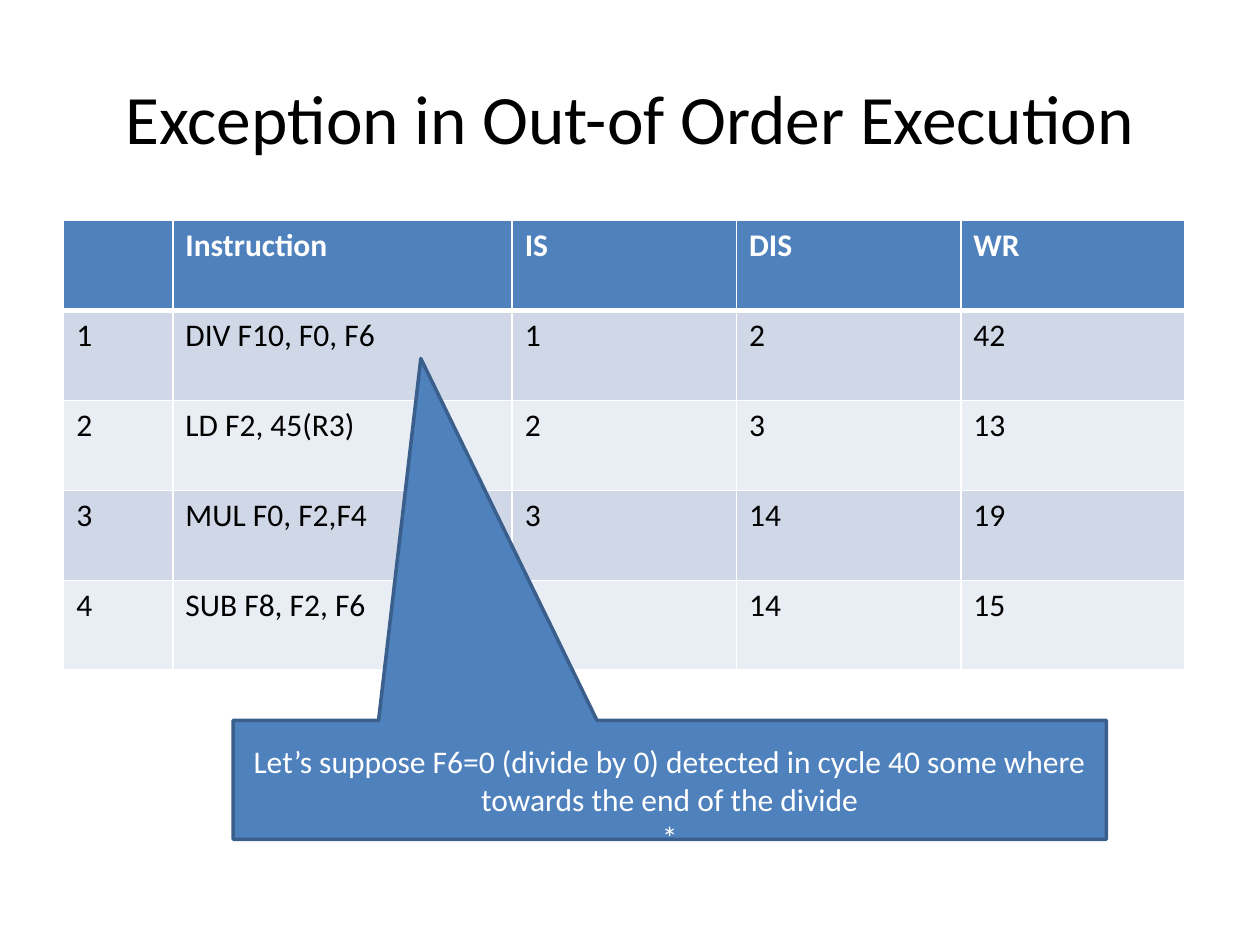
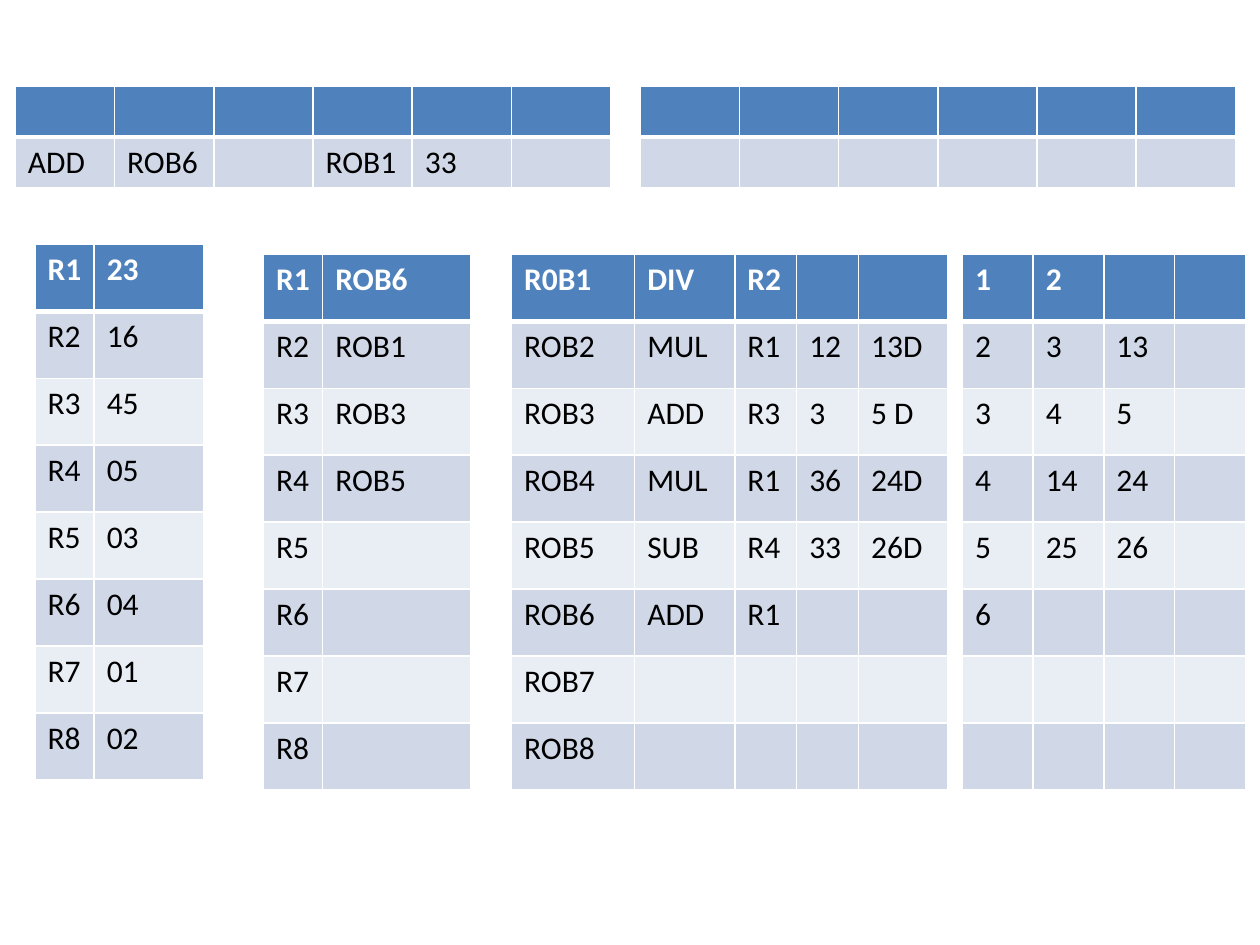
from lxml.etree import SubElement
from pptx import Presentation
from pptx.dml.color import RGBColor
from pptx.enum.shapes import MSO_SHAPE as SHAPE
from pptx.enum.text import MSO_ANCHOR as ANCHOR, PP_ALIGN as ALIGN
from pptx.oxml.ns import qn
from pptx.util import Pt

BLUE, DARK_BLUE = "4F81BD", "3A5F8C"
BANDS = ("E9EDF4", "D0D8E8")
WHITE, BLACK = "FFFFFF", "000000"


def rgb(color):
    """Turn a hex string into a colour."""
    return RGBColor.from_string(color)


class Deck:
    """Hold the shared style and the slide being built."""

    font, size = "Calibri", 18

    def __init__(self, width, height):
        """Start an empty presentation of the given size."""
        self.prs = Presentation()
        self.prs.slide_width, self.prs.slide_height = Pt(width), Pt(height)
        self.s = None

    def slide(self):
        """Add a blank slide and make it current."""
        self.s = self.prs.slides.add_slide(self.prs.slide_layouts[6])

    def style(self, tf, color, size=size, bold=False, align=ALIGN.LEFT):
        """Format every paragraph of a text frame."""
        for p in tf.paragraphs:
            p.alignment = align
            for font in [p.font] + [r.font for r in p.runs]:
                font.name, font.size, font.bold = self.font, Pt(size), bold
                font.color.rgb = rgb(color)

    def title(self, text):
        """Add the centred slide title."""
        sp = self.s.shapes.add_textbox(Pt(36), Pt(21.6), Pt(648), Pt(90))
        tf = sp.text_frame
        tf.word_wrap, tf.vertical_anchor = True, ANCHOR.MIDDLE
        tf.text = text
        self.style(tf, BLACK, 39.6, align=ALIGN.CENTER)

    def callout(self, left, top, width, height, tip, text, drop):
        """Add a callout with its tip at a relative offset and its text lowered."""
        sp = self.s.shapes.add_shape(SHAPE.RECTANGULAR_CALLOUT,
                                     Pt(left), Pt(top), Pt(width), Pt(height))
        sp.adjustments[0], sp.adjustments[1] = tip
        sp.shadow.inherit = False
        sp.fill.solid()
        sp.fill.fore_color.rgb = rgb(BLUE)
        sp.line.color.rgb, sp.line.width = rgb(DARK_BLUE), Pt(2)
        tf = sp.text_frame
        tf.word_wrap, tf.vertical_anchor = True, ANCHOR.MIDDLE
        tf.margin_top = Pt(drop)
        tf.text = text
        self.style(tf, WHITE, align=ALIGN.CENTER)

    def borders(self, cell, top, bottom):
        """Draw white cell borders, with the top and bottom widths given."""
        tcPr = cell._tc.get_or_add_tcPr()
        for side, width in zip("LRTB", (1, 1, top, bottom)):
            ln = SubElement(tcPr, qn(f"a:ln{side}"), w=str(Pt(width)))
            fill = SubElement(ln, qn("a:solidFill"))
            SubElement(fill, qn("a:srgbClr"), val=WHITE)

    def table(self, left, top, widths, row_height, rows):
        """Add a table with a blue header row and banded body rows."""
        sp = self.s.shapes.add_table(len(rows), len(widths), Pt(left), Pt(top),
                                     Pt(sum(widths)), Pt(row_height * len(rows)))
        table = sp.table
        for column, width in zip(table.columns, widths):
            column.width = Pt(width)
        for i, row in enumerate(rows):
            table.rows[i].height = Pt(row_height)
            header = i == 0
            for j in range(len(widths)):
                cell = table.cell(i, j)
                self.borders(cell, 3 if i == 1 else 1, 3 if header else 1)
                cell.fill.solid()
                cell.fill.fore_color.rgb = rgb(BLUE if header else BANDS[i % 2])
                if j < len(row):
                    cell.text_frame.text = row[j]
                self.style(cell.text_frame, WHITE if header else BLACK, bold=header)


def exception_slide(deck):
    """Build the slide on the divide exception."""
    deck.slide()
    deck.title("Exception in Out-of Order Execution")
    deck.table(36.4, 126, [62.4, 193.9] + [128.2] * 3, 51.4, [
        ["", "Instruction", "IS", "DIS", "WR"],
        ["1", "DIV F10, F0, F6", "1", "2", "42"],
        ["2", "LD F2, 45(R3)", "2", "3", "13"],
        ["3", "MUL F0, F2,F4", "3", "14", "19"],
        ["4", "SUB F8, F2, F6", "4", "14", "15"],
    ])
    deck.callout(133.2, 411.6, 499, 68, (-0.285, -3.54),
                 "Let’s suppose F6=0 (divide by 0) detected in cycle 40 some where "
                 "towards the end of the divide\n*", drop=25.6)


def reorder_buffer_slide(deck):
    """Build the slide with stations, registers and reorder buffer."""
    deck.slide()
    registers = [f"R{n}" for n in range(1, 9)]
    values = ["23", "16", "45", "05", "03", "04", "01", "02"]
    aliases = ["ROB6", "ROB1", "ROB3", "ROB5"] + [""] * 4
    buffer = [
        ["R0B1", "DIV", "R2"],
        ["ROB2", "MUL", "R1", "12", "13D"],
        ["ROB3", "ADD", "R3", "3", "5 D"],
        ["ROB4", "MUL", "R1", "36", "24D"],
        ["ROB5", "SUB", "R4", "33", "26D"],
        ["ROB6", "ADD", "R1"],
        ["ROB7"],
        ["ROB8"],
    ]
    cycles = [["1", "2"], ["2", "3", "13"], ["3", "4", "5"], ["4", "14", "24"],
              ["5", "25", "26"], ["6"], [], []]
    adder = [[], ["ADD", "ROB6", "", "ROB1", "33"]]
    multiplier = [[], []]

    for left, station in ((8.8, adder), (365.8, multiplier)):
        deck.table(left, 49, [56.7] * 6, 29.2, station)
    for left, top, widths, rows in (
        (20, 139.7, [33.8, 62.8], list(zip(registers, values))),
        (150.6, 145.4, [33.8, 84.6], list(zip(registers, aliases))),
        (292.3, 145.4, [70.4, 57.2, 35.4, 35.4, 51], buffer),
        (550, 145.4, [40.4] * 4, cycles),
    ):
        deck.table(left, top, widths, 38.25, rows)


def main():
    """Build and save the deck."""
    deck = Deck(720, 540)
    exception_slide(deck)
    reorder_buffer_slide(deck)
    deck.prs.save("out.pptx")


if __name__ == "__main__":
    main()
